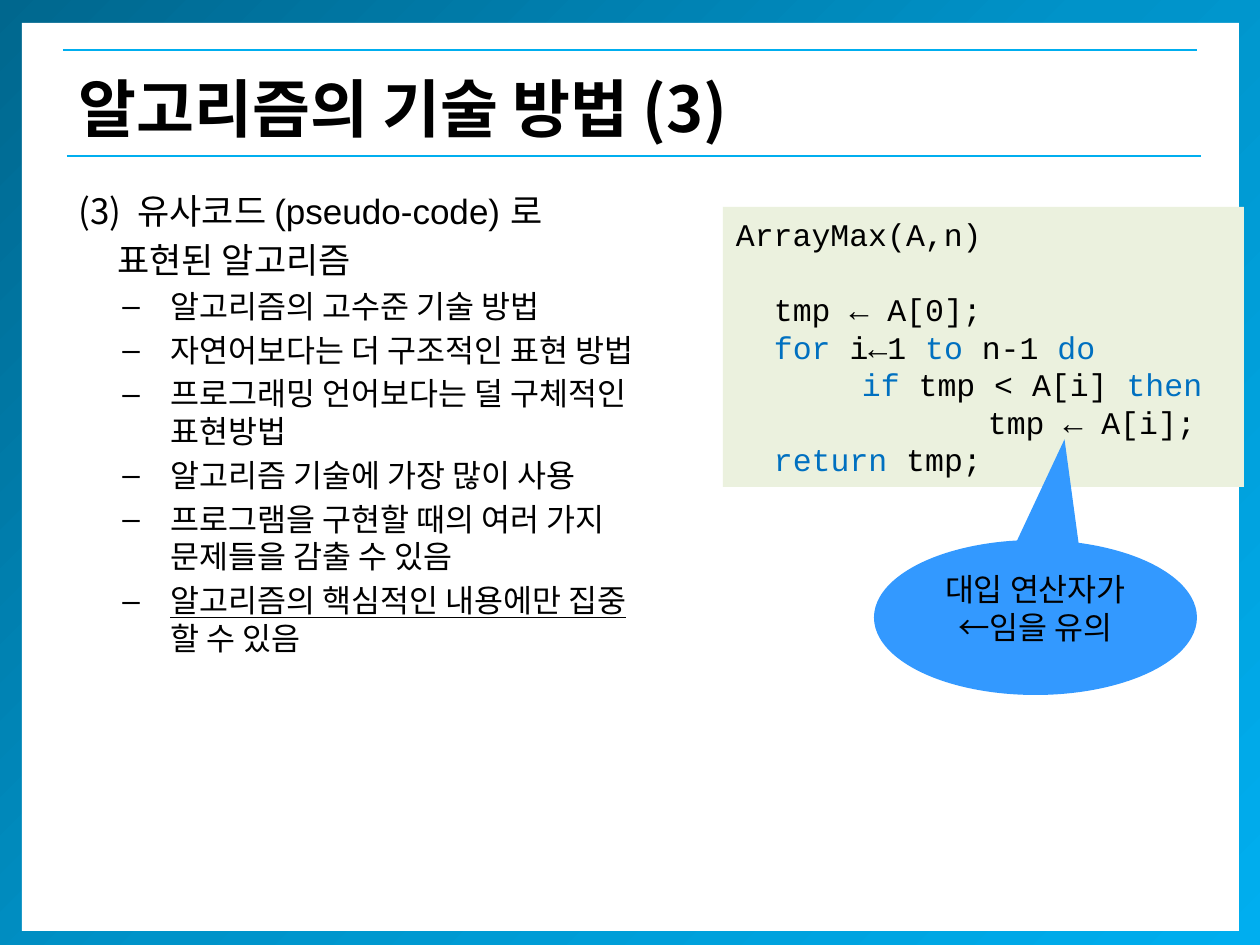
from copy import deepcopy
from lxml.etree import SubElement
from pptx import Presentation
from pptx.dml.color import RGBColor
from pptx.enum.shapes import MSO_CONNECTOR as Connector, MSO_SHAPE as Shape
from pptx.enum.text import MSO_ANCHOR as Anchor, PP_ALIGN as Align
from pptx.oxml.ns import qn
from pptx.util import Inches, Pt

PX = Inches(10) // 1260
KOREAN, LATIN, MONO = "Noto Sans CJK KR", "Arial", "Courier New"
BLACK, BLUE, CYAN = "000000", "0070C0", "00AEEF"


def add_block(kind, left, top, width, height, fill=None):
    place = [n * PX for n in (left, top, width, height)]
    if kind is None:
        block = page.shapes.add_textbox(*place)
    else:
        block = page.shapes.add_shape(kind, *place)
        block.shadow.inherit = False
        block.line.fill.background()
    if fill:
        block.fill.solid()
        block.fill.fore_color.rgb = RGBColor.from_string(fill)
    block.text_frame.word_wrap = True
    block.text_frame.vertical_anchor = Anchor.TOP
    return block


def write(para, text, size=18, font=KOREAN, color=BLACK, bold=False,
          underline=False, margin=0, indent=0, before=0, align=Align.LEFT):
    para.alignment = align
    para.line_spacing = Pt(round(size * 1.195, 1))
    para.space_before = Pt(before)
    props = para._p.get_or_add_pPr()
    props.set("marL", str(margin * PX))
    props.set("indent", str(indent * PX))
    span = para.add_run()
    span.text = text
    span.font.size = Pt(size)
    span.font.name = font
    span.font.bold = bold
    span.font.underline = underline
    span.font.color.rgb = RGBColor.from_string(color)
    SubElement(span._r.get_or_add_rPr(), qn("a:ea")).set("typeface", KOREAN)


deck = Presentation()
deck.slide_width, deck.slide_height = Inches(10), Inches(7.5)
page = deck.slides.add_slide(deck.slide_layouts[6])

# Gradient frame around a white sheet
frame = add_block(Shape.RECTANGLE, 0, -5, 1260, 956)
frame.fill.gradient()
frame.fill.gradient_angle = 315
first_stop = frame._element.spPr.find(".//" + qn("a:gs"))
first_stop.addnext(deepcopy(first_stop))
stops = [(0, "00678E"), (0.5, "0093C9"), (1, CYAN)]
for stop, (position, color) in zip(frame.fill.gradient_stops, stops):
    stop.position = position
    stop.color.rgb = RGBColor.from_string(color)
add_block(Shape.RECTANGLE, 22, 23, 1217, 908, "FFFFFF")

# Rules above and below the title
for left, top in [(63, 50), (67, 156)]:
    rule = page.shapes.add_connector(
        Connector.STRAIGHT, left * PX, top * PX, (left + 1134) * PX, top * PX)
    rule.line.color.rgb = RGBColor.from_string(CYAN)
    rule.line.width = Pt(0.75)
    SubElement(rule._element.spPr, qn("a:effectLst"))

# Explanation with dashed points
body = add_block(None, 66, 181, 726, 659).text_frame
body.margin_top = 9 * PX
para = body.paragraphs[0]
heading = [("(3)\t유사코드 ", KOREAN), ("(pseudo-code) ", LATIN), ("로", KOREAN)]
for text, font in heading:
    write(para, text, size=20, font=font, margin=59, indent=-59)
write(body.add_paragraph(), "표현된 알고리즘", size=20, margin=39, before=4)

points = [
    ["알고리즘의 고수준 기술 방법"],
    ["자연어보다는 더 구조적인 표현 방법"],
    ["프로그래밍 언어보다는 덜 구체적인 ", "표현방법"],
    ["알고리즘 기술에 가장 많이 사용"],
    ["프로그램을 구현할 때의 여러 가지 ", "문제들을 감출 수 있음"],
    ["알고리즘의 핵심적인 내용에만 집중", "할 수 있음"],
]
for point in points:
    para = body.add_paragraph()
    for number, line in enumerate(point):
        if number:
            para.add_line_break()
        write(para, line, margin=92, indent=-48, before=3.6,
              underline=point is points[-1] and number == 0)
    props = para._p.get_or_add_pPr()
    SubElement(props, qn("a:buFont")).set("typeface", LATIN)
    SubElement(props, qn("a:buChar")).set("char", "–")

# Pseudo-code: left margin, space before, then runs with their colours
code = add_block(Shape.RECTANGLE, 723, 207, 521, 280, "EBF1DE").text_frame
code.margin_left, code.margin_right = 13 * PX, 0
code.margin_top = 8 * PX
code_lines = [
    (0, 0, [("ArrayMax(A,n)", BLACK)]),
    (38, 21.5, [("tmp ← A[0];", BLACK)]),
    (38, 0, [("for", BLUE), (" i←1 ", BLACK), ("to ", BLUE),
             ("n-1 ", BLACK), ("do", BLUE)]),
    (126, 0, [("if ", BLUE), ("tmp < A[i] ", BLACK), ("then", BLUE)]),
    (252, 0, [("tmp ← A[i];", BLACK)]),
    (38, 0, [("return ", BLUE), ("tmp;", BLACK)]),
]
for number, (margin, before, spans) in enumerate(code_lines):
    para = code.add_paragraph() if number else code.paragraphs[0]
    for text, color in spans:
        write(para, text, font=MONO, color=color, margin=margin, before=before)

# Callout pointing at the assignment arrow
callout = add_block(Shape.OVAL_CALLOUT, 874, 540, 323, 155, "3399FF")
callout.adjustments[0] = 0.09
callout.adjustments[1] = -1.15
callout.text_frame.margin_top = 8 * PX
write(callout.text_frame.paragraphs[0], "대입 연산자가 ←임을 유의",
      font=LATIN, align=Align.CENTER)

# Title
title = add_block(None, 66, 50, 1143, 106).text_frame
title.vertical_anchor = Anchor.MIDDLE
title.margin_top = 16 * PX
write(title.paragraphs[0], "알고리즘의 기술 방법 (3)", size=36, bold=True)

deck.save("out.pptx")
